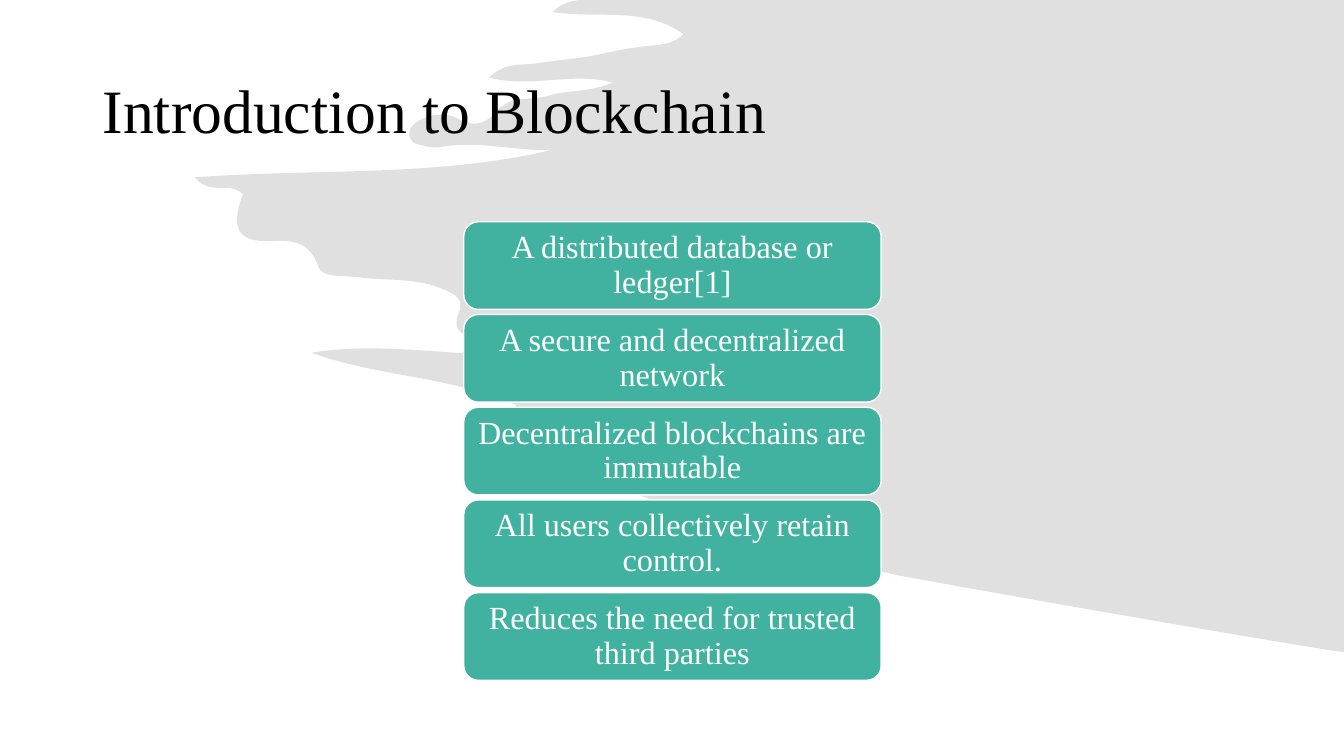
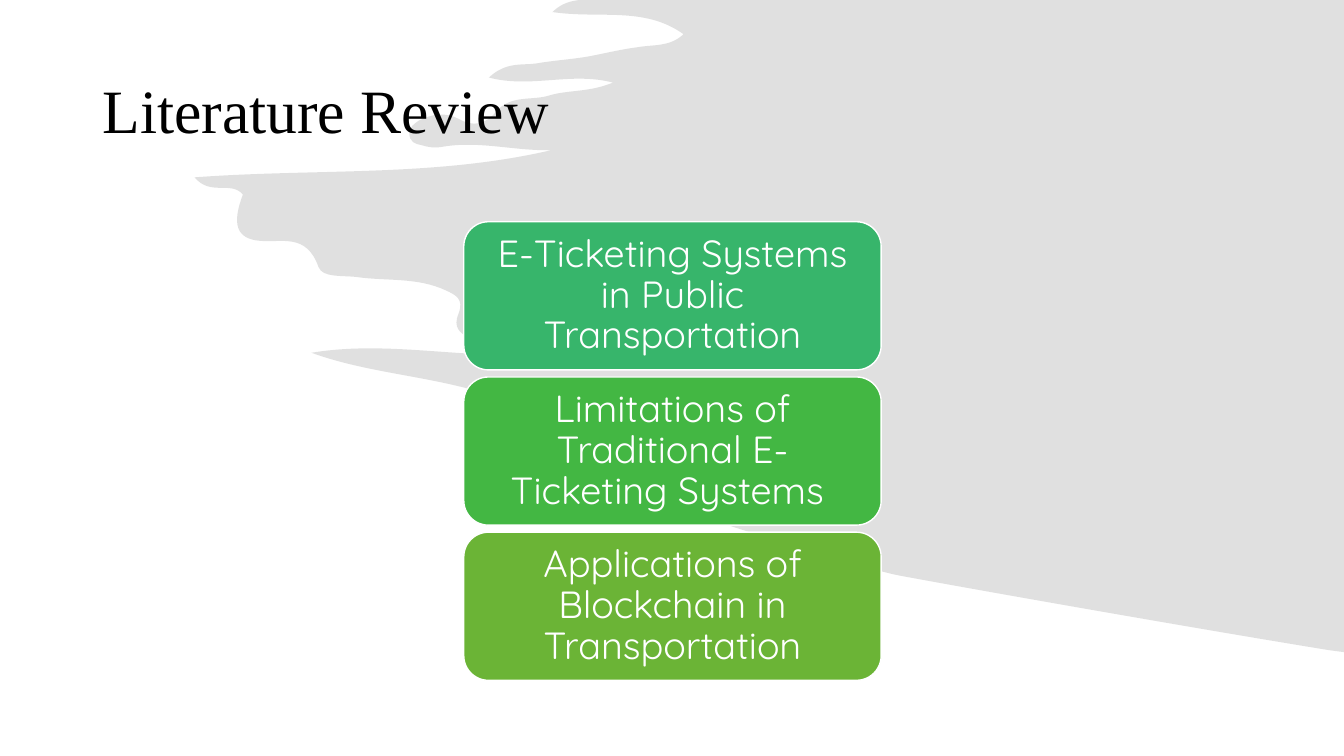
from lxml import etree
from pptx import Presentation
from pptx.dml.color import RGBColor
from pptx.enum.shapes import MSO_SHAPE
from pptx.enum.text import MSO_ANCHOR, PP_ALIGN
from pptx.oxml.ns import qn
from pptx.util import Pt

PX = 9144  # 100 px to the inch
WIDE, HIGH = 1333, 750
ROUND = MSO_SHAPE.ROUNDED_RECTANGLE
MIDDLE = MSO_ANCHOR.MIDDLE
LEFT, CENTER = PP_ALIGN.LEFT, PP_ALIGN.CENTER

SERIF, SANS = "Times New Roman", "Quicksand"
BLACK, WHITE, GREY = "000000", "FFFFFF", "D9D9D9"
TEAL, GREEN, LEAF, OLIVE = "41B29F", "37B56B", "43B743", "6BB436"

STACK_X, STACK_Y, STACK_W = 460, 220, 414

# Brush edge: from START, each curve is two control points and an end point.
START = (575, 0)
CURVES = [
    (567, 1, 557, 3, 548, 12), (595, 19, 639, 6, 678, 34),
    (664, 47, 648, 44, 632, 47), (616, 49, 600, 53, 584, 56),
    (567, 59, 549, 60, 532, 63), (518, 65, 502, 61, 485, 77),
    (527, 88, 566, 71, 608, 82), (584, 92, 563, 89, 544, 95),
    (527, 100, 506, 94, 492, 111), (481, 124, 469, 126, 455, 118),
    (442, 111, 428, 113, 415, 120), (411, 123, 406, 126, 406, 132),
    (406, 141, 412, 143, 418, 144), (424, 146, 431, 147, 437, 146),
    (474, 139, 510, 150, 547, 149), (431, 176, 314, 167, 193, 176),
    (209, 195, 229, 179, 241, 193), (230, 222, 234, 237, 258, 239),
    (280, 241, 304, 231, 316, 265), (320, 276, 341, 273, 355, 275),
    (384, 279, 414, 275, 442, 288), (453, 293, 460, 297, 455, 311),
    (449, 325, 456, 330, 466, 336), (473, 340, 483, 339, 489, 352),
    (428, 350, 369, 340, 309, 350), (375, 374, 447, 373, 512, 402),
    (510, 412, 495, 407, 494, 422), (528, 438, 569, 427, 605, 450),
    (584, 461, 565, 444, 545, 454), (552, 469, 840, 561, 892, 571),
    (978, 587, 1195, 625, 1318, 645),
]
CORNERS = [(1333, 647), (1333, 0)]


def px(*values):
    return [v * PX for v in values]


def color(code):
    return RGBColor.from_string(code)


def bend(shape, count):
    """Turn the first count triples of line segments into cubic curves."""
    lines = list(shape._element.iter(qn("a:lnTo")))
    for i in range(0, 3 * count, 3):
        first, *rest = lines[i:i + 3]
        curve = etree.Element(qn("a:cubicBezTo"))
        first.addprevious(curve)
        for line in (first, *rest):
            curve.append(line[0])
            line.getparent().remove(line)


def add_brush(slide):
    points = [curve[i:i + 2] for curve in CURVES for i in (0, 2, 4)]
    pen = slide.shapes.build_freeform(*px(*START), scale=1.0)
    pen.add_line_segments([px(*p) for p in points + CORNERS], close=True)
    brush = pen.convert_to_shape()
    bend(brush, len(CURVES))
    brush.shadow.inherit = False
    brush.fill.solid()
    brush.fill.fore_color.rgb = color(GREY)
    brush.line.fill.background()
    tone = brush._element.spPr.find(qn("a:solidFill"))[0]
    etree.SubElement(tone, qn("a:alpha"), val="80000")


def set_text(shape, text, font, size, ink, align, pad):
    """Fill the shape with one paragraph; pad is (side, top and bottom)."""
    frame = shape.text_frame
    frame.word_wrap = True
    frame.vertical_anchor = MIDDLE
    side, edge = px(*pad)
    frame.margin_left = frame.margin_right = side
    frame.margin_top = frame.margin_bottom = edge
    para = frame.paragraphs[0]
    para.text = text
    para.alignment = align
    para.line_spacing = 0.9
    para.font.name = font
    para.font.size = Pt(size)
    para.font.color.rgb = color(ink)


def add_title(slide, text):
    box = slide.shapes.add_textbox(*px(92, 40, 1150, 145))
    set_text(box, text, SERIF, 44, BLACK, LEFT, (10, 5))


def add_stack(slide, cards, high, gap, font, size, pad):
    """Stack rounded cards, given as (text, fill) pairs."""
    for i, (text, fill) in enumerate(cards):
        top = STACK_Y + i * (high + gap)
        card = slide.shapes.add_shape(ROUND, *px(STACK_X, top, STACK_W, high))
        card.shadow.inherit = False
        card.fill.solid()
        card.fill.fore_color.rgb = color(fill)
        card.line.color.rgb = color(WHITE)
        card.line.width = Pt(1)
        set_text(card, text, font, size, WHITE, CENTER, pad)


def add_slide(deck, title):
    slide = deck.slides.add_slide(deck.slide_layouts[6])
    add_brush(slide)
    add_title(slide, title)
    return slide


def main():
    deck = Presentation()
    deck.slide_width, deck.slide_height = px(WIDE, HIGH)

    facts = [
        "A distributed database or ledger[1]",
        "A secure and decentralized network",
        "Decentralized blockchains are immutable",
        "All users collectively retain control.",
        "Reduces the need for trusted third parties",
    ]
    slide = add_slide(deck, "Introduction to Blockchain")
    add_stack(slide, [(fact, TEAL) for fact in facts],
              87, 5, SERIF, 23, (9, 5))

    topics = [
        ("E-Ticketing Systems in Public Transportation", GREEN),
        ("Limitations of Traditional E-Ticketing Systems ", LEAF),
        ("Applications of Blockchain in Transportation", OLIVE),
    ]
    slide = add_slide(deck, "Literature Review")
    add_stack(slide, topics, 147, 7, SANS, 27, (11, 6))

    deck.save("out.pptx")


if __name__ == "__main__":
    main()
